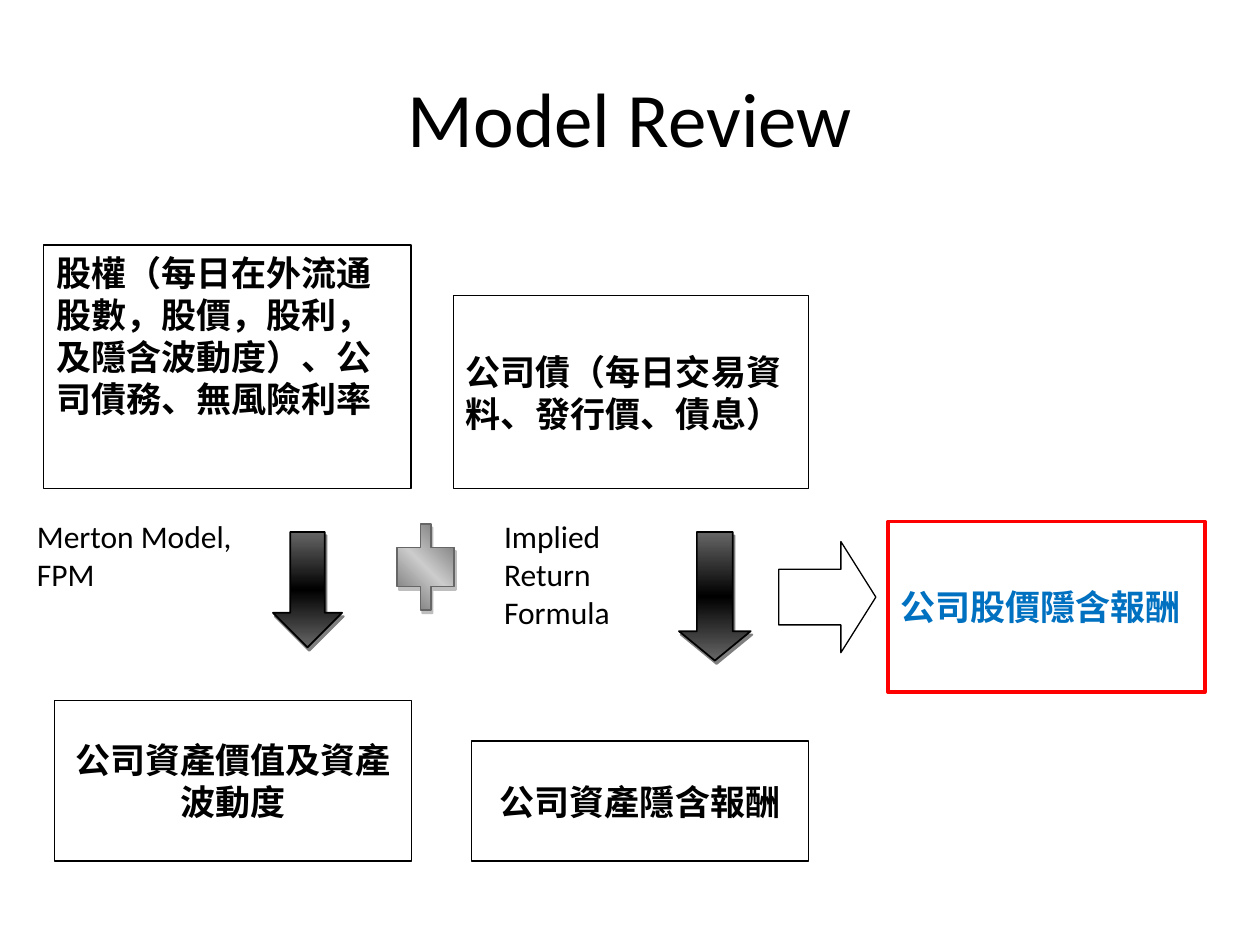
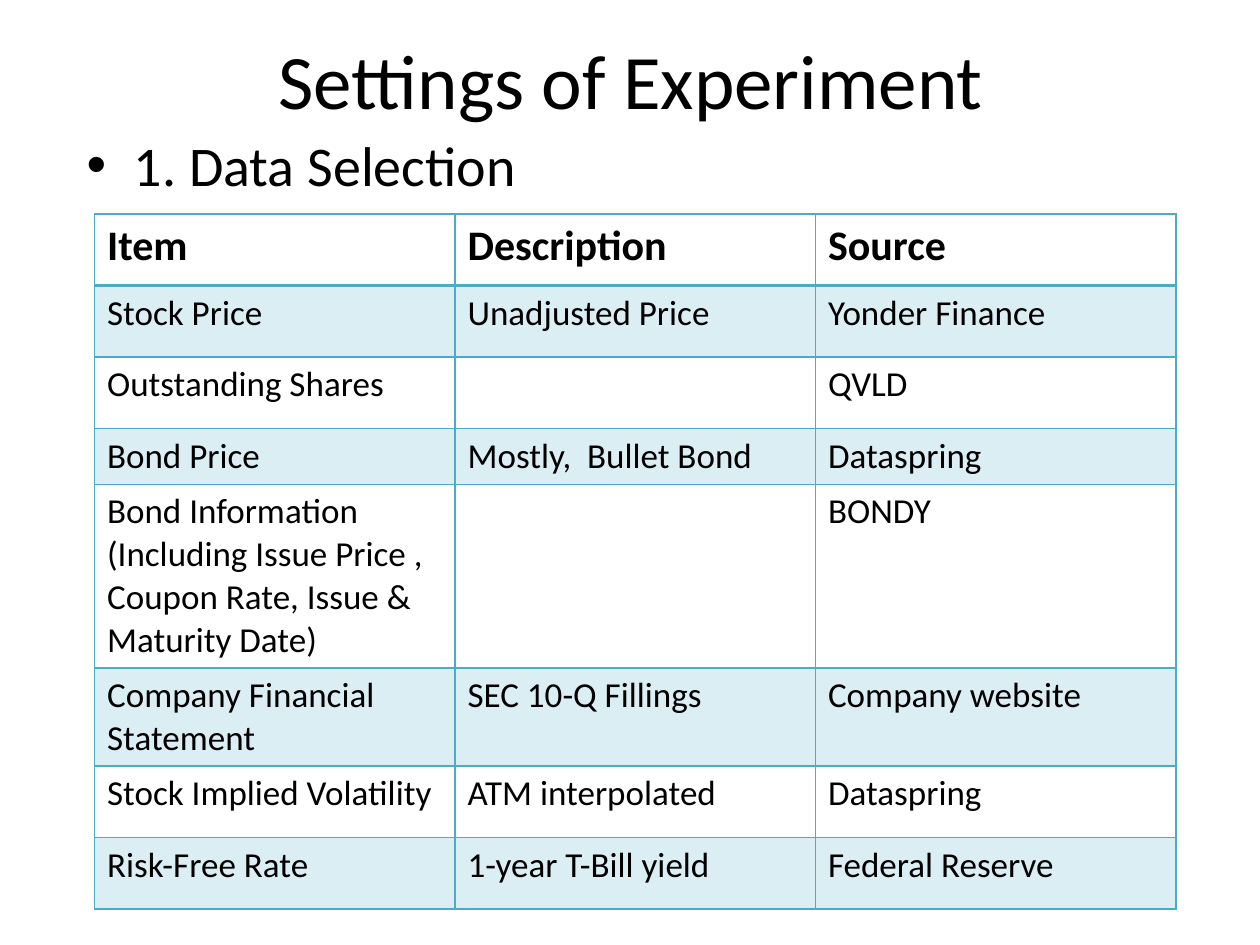
"""Builds two slides: a model flow diagram and a table of data sources."""
from dataclasses import dataclass

import lxml.etree
import pptx
import pptx.dml.color
import pptx.enum.dml
import pptx.enum.shapes
import pptx.enum.text
import pptx.oxml.ns
import pptx.util

Pt = pptx.util.Pt
SHAPE = pptx.enum.shapes.MSO_SHAPE
ALIGN = pptx.enum.text.PP_ALIGN
ANCHOR = pptx.enum.text.MSO_ANCHOR


@dataclass(frozen=True)
class Theme:
    """Colours, fonts and type sizes shared by the slides."""
    black: str = "000000"
    white: str = "FFFFFF"
    gray: str = "666666"
    silver: str = "CCCCCC"
    shadow: str = "7F7F7F"
    red: str = "FF0000"
    blue: str = "0070C0"
    teal: str = "4BACC6"
    band: str = "DBEEF4"
    latin: str = "Calibri"
    chinese: str = "Noto Sans CJK SC"
    title: int = 44
    bullet: int = 32
    header: int = 24
    body: int = 20
    label: int = 18


THEME = Theme()

DIAGRAM = (14, 140, 675, 353)
PROCESS_BOXES = [
    ((11, 0, 210, 139), "股權（每日在外流通股數，股價，股利，及隱含波動度）、公司債務、無風險利率",
     ALIGN.LEFT, ANCHOR.TOP),
    ((17, 260.5, 204, 91.5), "公司資產價值及資產波動度", ALIGN.CENTER, ANCHOR.MIDDLE),
    ((245, 29, 203, 110), "公司債（每日交易資料、發行價、債息）", ALIGN.LEFT, ANCHOR.MIDDLE),
    ((255.5, 283.5, 192.5, 68.5), "公司資產隱含報酬", ALIGN.CENTER, ANCHOR.MIDDLE),
]
RESULT_BOX = (493.5, 158, 181, 97.5)
GRADIENT_SHAPES = [
    (SHAPE.DOWN_ARROW, (142, 164, 39.5, 66), (0.5, 0.5), THEME.black, THEME.black, 270, 100),
    (SHAPE.DOWN_ARROW, (374, 164, 41, 73.5), (0.5, 0.41), THEME.black, THEME.black, 270, 100),
    (SHAPE.CROSS, (213, 159.5, 32.5, 49), (0.41,), THEME.silver, THEME.gray, 45, 50),
]
RESULT_ARROW = (431, 169.5, 55.5, 63.5)
MODEL_LABELS = [
    ((0, 152, 130.5, 51), "Merton Model, FPM"),
    ((267, 152, 96.5, 73), "Implied Return Formula"),
]

DATA_ROWS = [
    (40.8, "Item", "Description", "Source"),
    (40.8, "Stock Price", "Unadjusted Price", "Yonder Finance"),
    (40.8, "Outstanding Shares", "", "QVLD"),
    (32, "Bond Price", "Mostly,  Bullet Bond", "Dataspring"),
    (105, "Bond Information (Including Issue Price , Coupon Rate, Issue & Maturity Date)",
     "", "BONDY"),
    (56, "Company Financial Statement", "SEC 10-Q Fillings", "Company website"),
    (40.8, "Stock Implied Volatility", "ATM interpolated", "Dataspring"),
    (40.8, "Risk-Free Rate", "1-year T-Bill yield", "Federal Reserve"),
]


def rgb(value):
    """Return a colour from its hexadecimal value."""
    return pptx.dml.color.RGBColor.from_string(value)


def add_element(parent, tag, **attributes):
    """Append a drawing element with the given attributes."""
    element = lxml.etree.SubElement(parent, pptx.oxml.ns.qn(tag))
    for name, value in attributes.items():
        element.set(name, str(value))
    return element


def apply_format(target, values):
    """Set every named format value on the target."""
    for name, value in values.items():
        setattr(target, name, value)


def place(target, box):
    """Move and size a shape to a box in points."""
    apply_format(target, dict(zip(("left", "top", "width", "height"), map(Pt, box))))


def inside(region, box):
    """Return a box given in a region's coordinates as slide coordinates."""
    return region[0] + box[0], region[1] + box[1], box[2], box[3]


def write(text_frame, text, size, color=THEME.black, bold=False,
          font=THEME.latin, align=ALIGN.LEFT):
    """Write one formatted paragraph into a text frame."""
    paragraph = text_frame.paragraphs[0]
    paragraph.alignment = align
    run = paragraph.add_run()
    run.text = text
    apply_format(run.font, {"name": font, "size": Pt(size), "bold": bold})
    run.font.color.rgb = rgb(color)
    add_element(run.font._element, "a:ea", typeface=font)


def add_outlined(slide, kind, box, line=THEME.black, weight=0.75):
    """Add a white preset shape with a plain outline."""
    shape = slide.shapes.add_shape(kind, *map(Pt, box))
    shape.shadow.inherit = False
    shape.fill.solid()
    shape.fill.fore_color.rgb = rgb(THEME.white)
    shape.line.color.rgb = rgb(line)
    shape.line.width = Pt(weight)
    return shape


def add_process_box(slide, kind, box, text, align, anchor, color=THEME.black, **outline):
    """Add an outlined box with bold Chinese text."""
    shape = add_outlined(slide, kind, box, **outline)
    apply_format(shape.text_frame, {"word_wrap": True, "vertical_anchor": anchor})
    write(shape.text_frame, text, THEME.body, color, True, THEME.chinese, align)


def add_gradient_shape(slide, kind, box, adjustments, middle, line, angle, opacity):
    """Add a shape shaded grey at both ends with a hard shadow."""
    shape = add_outlined(slide, kind, box, line, 1)
    for index, value in enumerate(adjustments):
        shape.adjustments[index] = value
    shape.fill.gradient()
    shape.fill.gradient_angle = angle
    properties = shape._element.spPr
    stops = properties.find(".//" + pptx.oxml.ns.qn("a:gsLst"))
    for stop in list(stops):
        stops.remove(stop)
    for position, color in ((0, THEME.gray), (50, middle), (100, THEME.gray)):
        stop = add_element(stops, "a:gs", pos=position * 1000)
        add_element(stop, "a:srgbClr", val=color)
    effects = properties.find(pptx.oxml.ns.qn("a:effectLst"))
    shadow = add_element(effects, "a:outerShdw", blurRad=0, dist=Pt(2.2),
                         dir=63 * 60000, algn="ctr", rotWithShape=0)
    shade = add_element(shadow, "a:srgbClr", val=THEME.shadow)
    add_element(shade, "a:alpha", val=opacity * 1000)


def add_text(slide, box, text, size):
    """Add a wrapping text box and return it."""
    text_box = slide.shapes.add_textbox(*map(Pt, box))
    text_box.text_frame.word_wrap = True
    write(text_box.text_frame, text, size)
    return text_box


def add_titled_slide(presentation, title, box):
    """Add a title-only slide with its title in the given box."""
    slide = presentation.slides.add_slide(presentation.slide_layouts[5])
    place(slide.shapes.title, box)
    text_frame = slide.shapes.title.text_frame
    text_frame.vertical_anchor = ANCHOR.MIDDLE
    write(text_frame, title, THEME.title, align=ALIGN.CENTER)
    return slide


def add_diagram(slide, region):
    """Draw the model flow inside a region."""
    for box, text, align, anchor in PROCESS_BOXES:
        add_process_box(slide, SHAPE.RECTANGLE, inside(region, box), text, align, anchor)
    for kind, box, *style in GRADIENT_SHAPES:
        add_gradient_shape(slide, kind, inside(region, box), *style)
    arrow = add_outlined(slide, SHAPE.RIGHT_ARROW, inside(region, RESULT_ARROW))
    arrow.adjustments[1] = 0.36
    add_process_box(slide, SHAPE.FLOWCHART_PROCESS, inside(region, RESULT_BOX),
                    "公司股價隱含報酬", ALIGN.LEFT, ANCHOR.MIDDLE, THEME.blue,
                    line=THEME.red, weight=2)
    for box, text in MODEL_LABELS:
        add_text(slide, inside(region, box), text, THEME.label)


def add_bullet(slide, box, text):
    """Add a bulleted heading with a hanging indent."""
    text_box = add_text(slide, box, text, THEME.bullet)
    properties = text_box.text_frame.paragraphs[0]._p.get_or_add_pPr()
    properties.set("marL", str(Pt(27)))
    properties.set("indent", str(-Pt(27)))
    add_element(properties, "a:buFont", typeface="Arial")
    add_element(properties, "a:buChar", char="•")


def format_cell(cell, row_index):
    """Fill and border a table cell according to its row."""
    properties = cell._tc.get_or_add_tcPr()
    weights = {"a:lnL": 1, "a:lnR": 1, "a:lnT": 2 if row_index == 1 else 1,
               "a:lnB": 2 if row_index == 0 else 1}
    for side, weight in weights.items():
        border = add_element(properties, side, w=Pt(weight))
        fill = add_element(border, "a:solidFill")
        add_element(fill, "a:srgbClr", val=THEME.teal)
    if row_index % 2:
        cell.fill.solid()
        cell.fill.fore_color.rgb = rgb(THEME.band)
    else:
        cell.fill.background()


def add_data_table(slide, box):
    """Add the table of data items, descriptions and sources."""
    column_count = len(DATA_ROWS[0]) - 1
    frame = slide.shapes.add_table(len(DATA_ROWS), column_count, *map(Pt, box))
    table = frame.table
    apply_format(table, {"first_row": False, "horz_banding": False})
    for column in table.columns:
        column.width = Pt(box[2] / column_count)
    for row_index, (height, *texts) in enumerate(DATA_ROWS):
        table.rows[row_index].height = Pt(height)
        is_header = row_index == 0
        size = THEME.header if is_header else THEME.body
        for column_index, text in enumerate(texts):
            cell = table.cell(row_index, column_index)
            format_cell(cell, row_index)
            if text:
                write(cell.text_frame, text, size, bold=is_header)


def main():
    """Build and save the presentation."""
    presentation = pptx.Presentation()
    apply_format(presentation, {"slide_width": Pt(720), "slide_height": Pt(540)})
    review = add_titled_slide(presentation, "Model Review", (36, 21.6, 648, 90))
    add_diagram(review, DIAGRAM)
    settings = add_titled_slide(presentation, "Settings of Experiment", (36.7, 0, 648, 90))
    add_bullet(settings, (42.5, 71.3, 648, 50), "1. Data Selection")
    table_height = sum(row[0] for row in DATA_ROWS)
    add_data_table(settings, (54, 122.4, 618, table_height))
    presentation.save("out.pptx")


if __name__ == "__main__":
    main()
